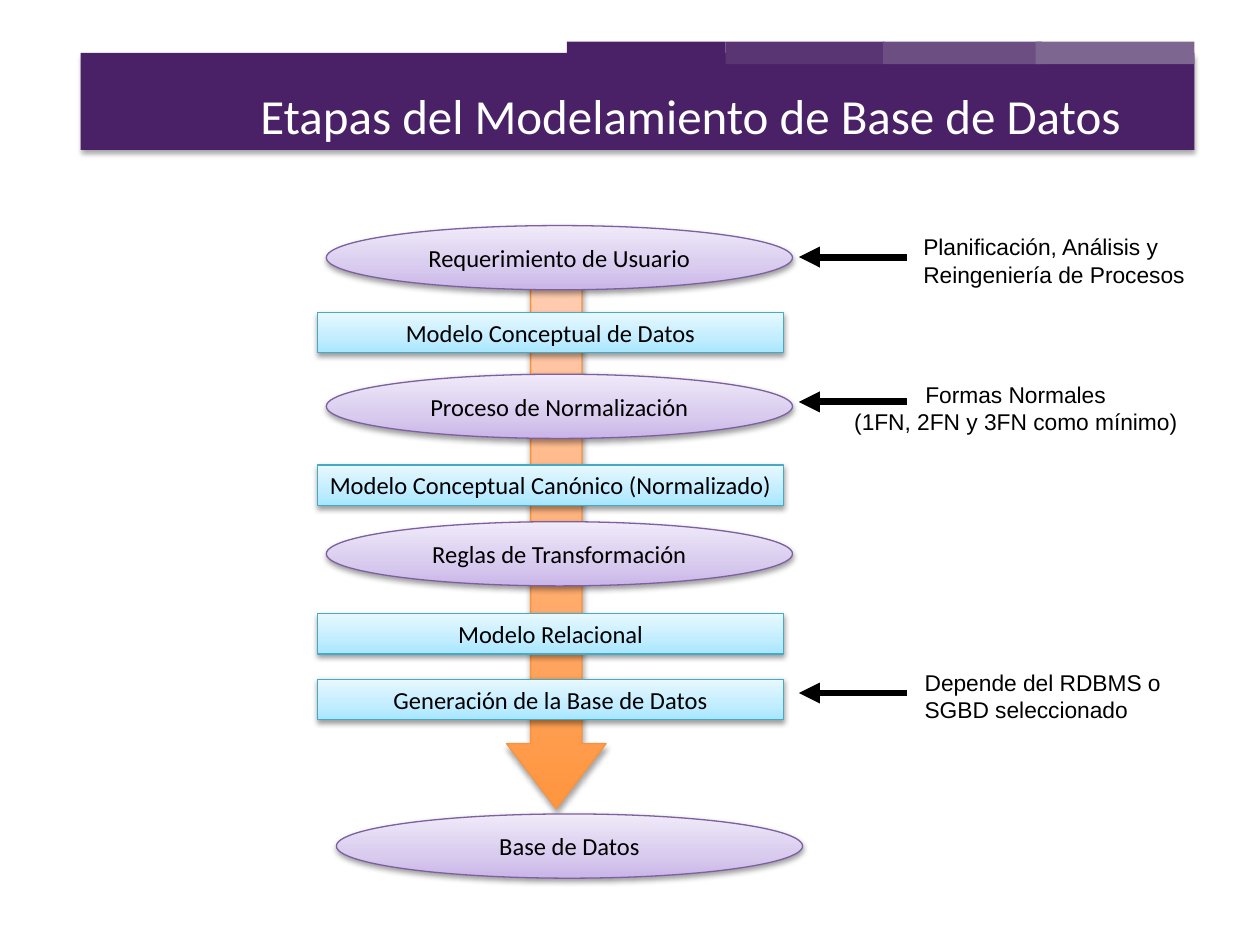
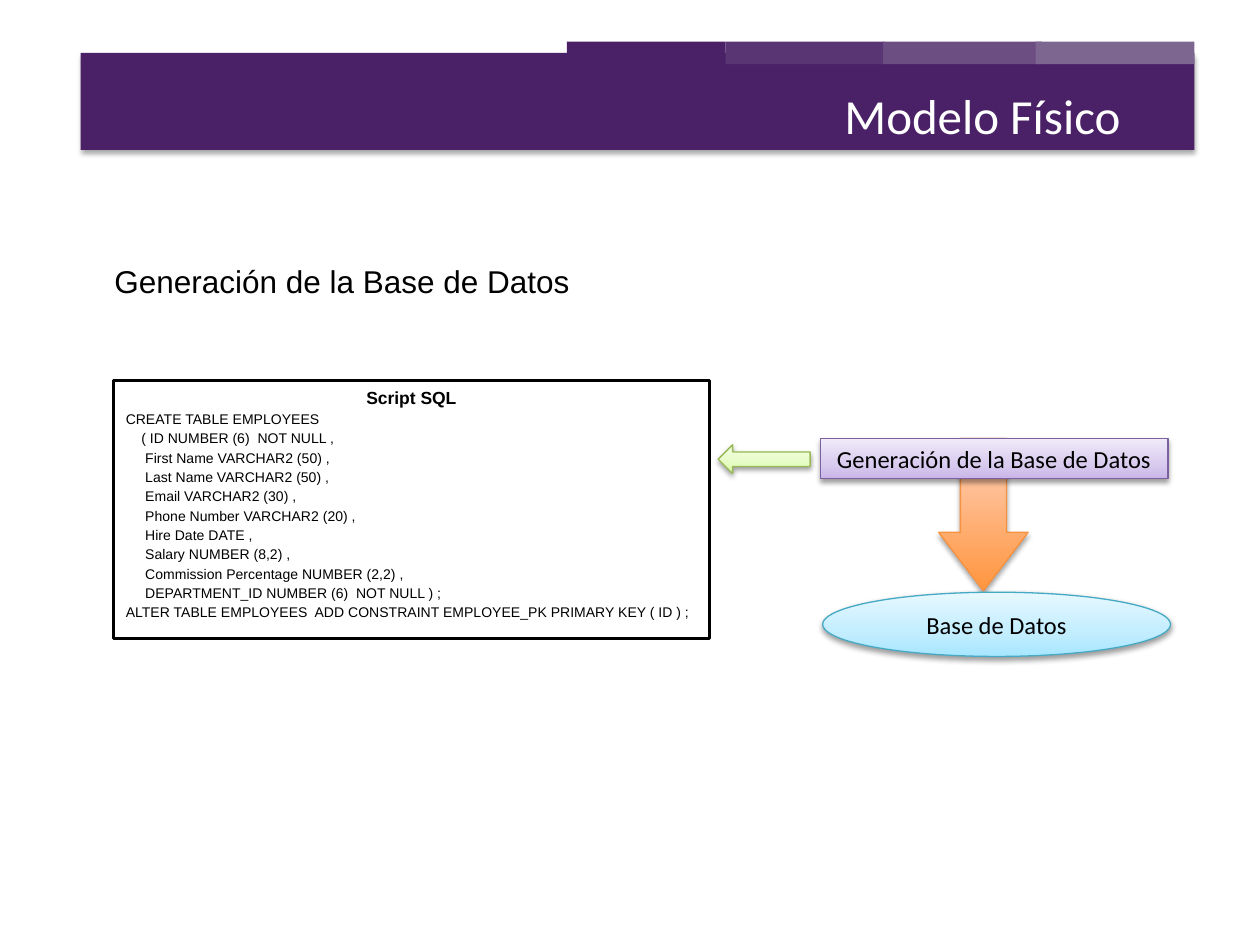
"""Builds two slides on the stages of database modelling."""
import lxml.etree
import pptx
import pptx.dml.color
import pptx.enum.shapes
import pptx.enum.text
import pptx.oxml.ns
import pptx.util

Inches = pptx.util.Inches
Pt = pptx.util.Pt
Shape = pptx.enum.shapes.MSO_SHAPE
Align = pptx.enum.text.PP_ALIGN
Anchor = pptx.enum.text.MSO_ANCHOR
qn = pptx.oxml.ns.qn

BLACK, WHITE, BAND = "000000", "FFFFFF", "4A2167"
TABS = [(4.5, BAND), (5.76, "5A3574"), (7.01, "6D4E83"), (8.22, "7D6690")]
BLUE = ([(0, "A7E6FF"), (35, "C1EDFF"), (100, "E7F8FF")], "46AAC5")
PURPLE = ([(0, "C9B5E8"), (35, "D8CBEE"), (100, "F0EAF9")], "7D60A0")
GREEN = ([(0, "DAFDA7"), (35, "E4FCC2"), (100, "F5FFE7")], "98B955")
ORANGE = ([(0, "FF953E"), (100, "FFD2BD")], "F69240")
SOFT_SHADOW, DEEP_SHADOW = (38, 1.6), (35, 1.8)

STAGES = [
    (Shape.RECTANGLE, 2.52, 2.48, "Modelo Conceptual de Datos"),
    (Shape.OVAL, 2.59, 2.97, "Proceso de Normalización"),
    (Shape.RECTANGLE, 2.52, 3.69, "Modelo Conceptual Canónico (Normalizado)"),
    (Shape.OVAL, 2.59, 4.14, "Reglas de Transformación"),
    (Shape.RECTANGLE, 2.52, 4.87, "Modelo Relacional"),
    (Shape.RECTANGLE, 2.52, 5.39, "Generación de la Base de Datos"),
    (Shape.OVAL, 2.59, 1.79, "Requerimiento de Usuario"),
    (Shape.OVAL, 2.67, 6.46, "Base de Datos"),
]
NOTES = [
    (7.23, 1.8, 2.3, 2.04, Align.LEFT, ["Planificación, Análisis y", "Reingeniería de Procesos"]),
    (6.66, 2.97, 2.8, 3.19, Align.CENTER, ["Formas Normales", "(1FN, 2FN y 3FN como mínimo)"]),
    (7.24, 5.26, 2.1, 5.5, Align.LEFT, ["Depende del RDBMS o", "SGBD seleccionado"]),
]
SQL = """CREATE TABLE EMPLOYEES
    ( ID NUMBER (6)  NOT NULL ,
     First Name VARCHAR2 (50) ,
     Last Name VARCHAR2 (50) ,
     Email VARCHAR2 (30) ,
     Phone Number VARCHAR2 (20) ,
     Hire Date DATE ,
     Salary NUMBER (8,2) ,
     Commission Percentage NUMBER (2,2) ,
     DEPARTMENT_ID NUMBER (6)  NOT NULL ) ;
ALTER TABLE EMPLOYEES  ADD CONSTRAINT EMPLOYEE_PK PRIMARY KEY ( ID ) ;"""


def rgb(value):
    """Turn a hex string into a colour."""
    return pptx.dml.color.RGBColor.from_string(value)


def add_colour(parent, value):
    """Append a hex colour element to an XML parent."""
    return lxml.etree.SubElement(parent, qn("a:srgbClr"), val=value)


def add_block(slide, kind, box, fill, line=None, width=0.75, shadow=None):
    """Add a preset shape with a plain or gradient fill."""
    block = slide.shapes.add_shape(kind, *map(Inches, box))
    if isinstance(fill, str):
        block.fill.solid()
        block.fill.fore_color.rgb = rgb(fill)
    else:
        block.fill.gradient()
        block.fill.gradient_angle = 90
        stops = block._element.spPr.find(".//" + qn("a:gsLst"))
        for stop in list(stops):
            stops.remove(stop)
        for position, colour in fill:
            add_colour(lxml.etree.SubElement(stops, qn("a:gs"), pos=str(position * 1000)), colour)
    if line:
        block.line.color.rgb = rgb(line)
        block.line.width = Pt(width)
    else:
        block.line.fill.background()
    block.shadow.inherit = False
    if shadow:
        opacity, distance = shadow
        effects = block._element.spPr.find(qn("a:effectLst"))
        outer = lxml.etree.SubElement(
            effects, qn("a:outerShdw"), blurRad=str(Pt(3.1)), dist=str(Pt(distance)),
            dir="5400000", rotWithShape="0")
        lxml.etree.SubElement(add_colour(outer, BLACK), qn("a:alpha"), val=str(opacity * 1000))
    return block


def write_line(paragraph, text, size, font="Arial", colour=BLACK, align=Align.LEFT, bold=False):
    """Write one run into a paragraph."""
    paragraph.alignment = align
    run = paragraph.add_run()
    run.text = text
    run.font.size = Pt(size)
    run.font.name = font
    run.font.bold = bold
    run.font.color.rgb = rgb(colour)


def add_text(slide, box, lines, size, wrap=False, **style):
    """Add a text box with one paragraph for each line."""
    frame = slide.shapes.add_textbox(*map(Inches, box)).text_frame
    frame.word_wrap = wrap
    frame.auto_size = pptx.enum.text.MSO_AUTO_SIZE.SHAPE_TO_FIT_TEXT
    for index, line in enumerate(lines):
        paragraph = frame.add_paragraph() if index else frame.paragraphs[0]
        write_line(paragraph, line, size, **style)


def add_stage(slide, kind, left, top, width, text, palette):
    """Add a labelled step of the process."""
    height = 0.51 if kind == Shape.OVAL else 0.32
    frame = add_block(slide, kind, (left, top, width, height), *palette,
                      shadow=SOFT_SHADOW).text_frame
    frame.word_wrap = False
    frame.vertical_anchor = Anchor.MIDDLE
    write_line(frame.paragraphs[0], text, 14, "Calibri", align=Align.CENTER)


def add_flow_arrow(slide, box):
    """Add the orange arrow that leads down to the database."""
    arrow = add_block(slide, Shape.DOWN_ARROW, box, *ORANGE, shadow=DEEP_SHADOW)
    arrow.adjustments[0], arrow.adjustments[1] = 0.515, 0.655


def add_pointer(slide, y):
    """Add a black arrow from a note to its stage."""
    pointer = slide.shapes.add_connector(
        pptx.enum.shapes.MSO_CONNECTOR.STRAIGHT, Inches(7.2), Inches(y), Inches(6.34), Inches(y))
    pointer.line.color.rgb = rgb(BLACK)
    pointer.line.width = Pt(4)
    lxml.etree.SubElement(pointer.line._get_or_add_ln(), qn("a:tailEnd"), type="triangle")
    lxml.etree.SubElement(pointer._element.spPr, qn("a:effectLst"))


def add_titled_slide(deck, title):
    """Add a blank slide with the purple band, its tabs and a title."""
    slide = deck.slides.add_slide(deck.slide_layouts[6])
    add_block(slide, Shape.RECTANGLE, (0.64, 0.42, 8.84, 0.77), BAND, shadow=DEEP_SHADOW)
    for left, colour in TABS:
        add_block(slide, Shape.RECTANGLE, (left, 0.33, 1.26, 0.18), colour)
    add_text(slide, (1.8, 0.63, 7.19, 0.57), [title], 28, wrap=True,
             font="Calibri", colour=WHITE, align=Align.RIGHT)
    return slide


def add_script(slide):
    """Add the framed SQL script."""
    frame = add_block(slide, Shape.RECTANGLE, (0.9, 3.02, 4.73, 2.05), WHITE, BLACK, 1.5).text_frame
    frame.word_wrap = True
    frame.vertical_anchor = Anchor.TOP
    write_line(frame.paragraphs[0], "Script SQL", 10, align=Align.CENTER, bold=True)
    for statement in SQL.splitlines():
        paragraph = frame.add_paragraph()
        paragraph.line_spacing = 0.7
        paragraph.space_before = Pt(4.3)
        write_line(paragraph, statement, 8)


def build_stages(deck):
    """Build the slide with the modelling stages."""
    slide = add_titled_slide(deck, "Etapas del Modelamiento de Base de Datos")
    add_flow_arrow(slide, (4.02, 1.86, 0.79, 4.56))
    for kind, left, top, text in STAGES:
        add_stage(slide, kind, left, top, 3.7, text, PURPLE if kind == Shape.OVAL else BLUE)
    for left, top, width, pointer_y, align, lines in NOTES:
        add_text(slide, (left, top, width, 0.54), lines, 13, align=align)
        add_pointer(slide, pointer_y)


def build_physical_model(deck):
    """Build the slide with the physical model."""
    slide = add_titled_slide(deck, "Modelo Físico")
    add_text(slide, (0.81, 2.03, 3.85, 0.4), ["Generación de la Base de Datos"], 18)
    add_flow_arrow(slide, (7.45, 3.48, 0.71, 1.21))
    add_script(slide)
    add_stage(slide, Shape.RECTANGLE, 6.51, 3.48, 2.76, "Generación de la Base de Datos", PURPLE)
    add_stage(slide, Shape.OVAL, 6.53, 4.7, 2.76, "Base de Datos", BLUE)
    add_block(slide, Shape.LEFT_ARROW, (5.7, 3.53, 0.73, 0.23), *GREEN, shadow=SOFT_SHADOW)


def main():
    """Build and save the deck."""
    deck = pptx.Presentation()
    deck.slide_width, deck.slide_height = Inches(10), Inches(7.5)
    build_stages(deck)
    build_physical_model(deck)
    deck.save("out.pptx")


if __name__ == "__main__":
    main()
